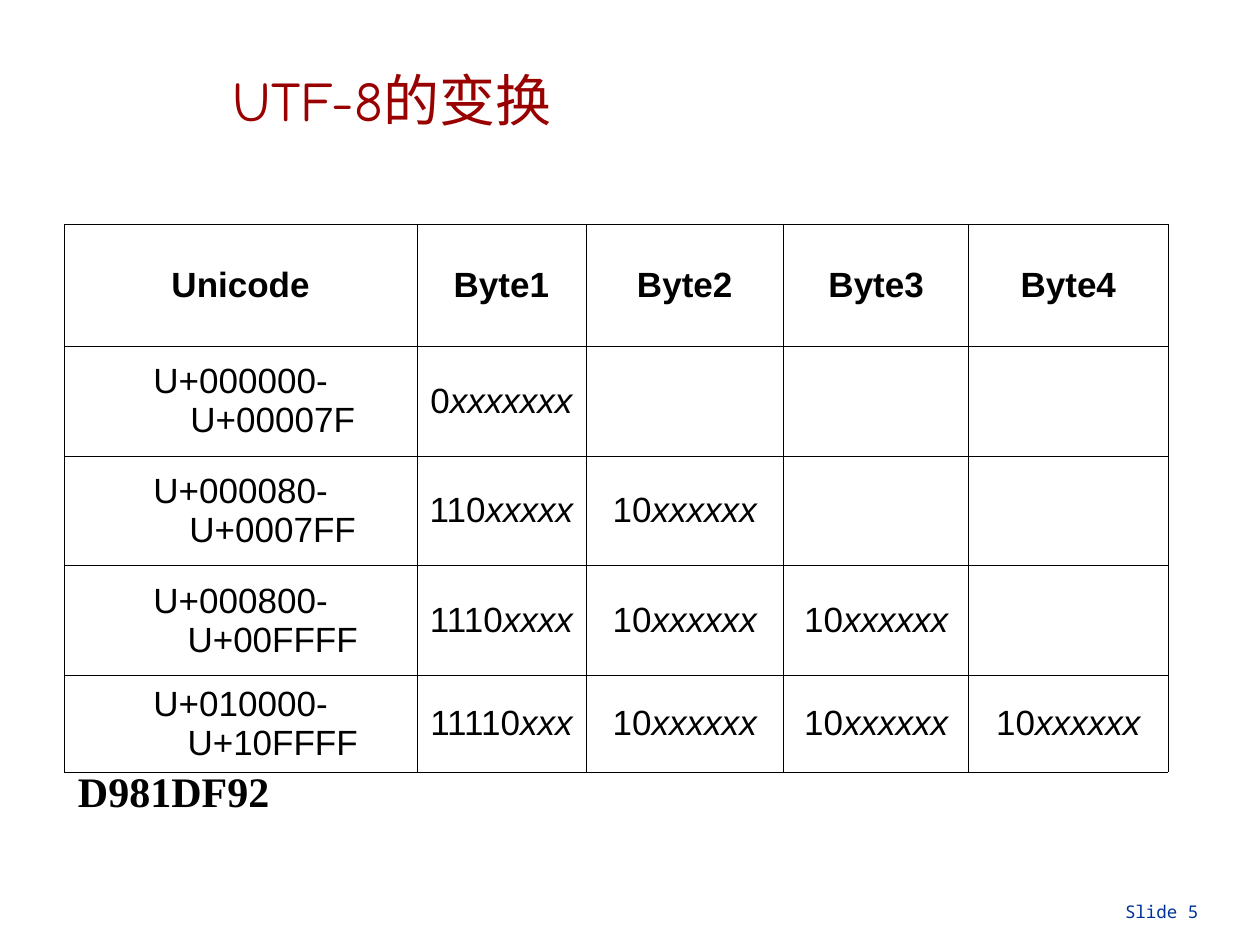
import pptx
import pptx.util
import pptx.dml.color
import pptx.enum.text
from lxml import etree
from pptx.oxml.ns import qn
from pptx.util import Inches

RGBColor = pptx.dml.color.RGBColor
BLACK = RGBColor(0x00, 0x00, 0x00)
DARK_RED = RGBColor(0x99, 0x00, 0x00)
NAVY = RGBColor(0x00, 0x33, 0x99)
CENTER = pptx.enum.text.PP_ALIGN.CENTER
MIDDLE = pptx.enum.text.MSO_ANCHOR.MIDDLE

BYTE_BITS = 8
CONTINUATION = "10"
COLUMN_WIDTHS = [2.8, 1.34, 1.57, 1.47, 1.58]
ROW_HEIGHTS = [0.97, 0.87, 0.87, 0.87, 0.44]
HEADINGS = ["Unicode", "Byte1", "Byte2", "Byte3", "Byte4"]
# Code point range and marker bits of the leading byte
ENCODINGS = [
    ("U+000000-U+00007F", "0"),
    ("U+000080-U+0007FF", "110"),
    ("U+000800-U+00FFFF", "1110"),
    ("U+010000-U+10FFFF", "11110"),
]


class SlideBuilder:
    """Holds the table style and the slide being built."""

    table_font = "Arial"
    table_size = 20
    border_width = 0.45
    hanging = 0.51

    def __init__(self, slide):
        self.slide = slide

    def set_font(self, paragraph, name, size, color, bold=False):
        font = paragraph.font
        font.name = name
        font.size = pptx.util.Pt(size)
        font.bold = bold
        font.color.rgb = color

    def text(self, words, box, insets, name, size, color, bold=False,
             align=None, line_spacing=None, wrap=True, right_tab=None):
        frame = self.slide.shapes.add_textbox(*map(Inches, box)).text_frame
        frame.word_wrap = wrap
        frame.margin_left = frame.margin_right = Inches(insets[0])
        frame.margin_top = frame.margin_bottom = Inches(insets[1])
        paragraph = frame.paragraphs[0]
        paragraph.text = words
        if align is not None:
            paragraph.alignment = align
        if line_spacing is not None:
            paragraph.line_spacing = line_spacing
        if right_tab is not None:
            tabs = etree.SubElement(paragraph._p.get_or_add_pPr(), qn("a:tabLst"))
            etree.SubElement(tabs, qn("a:tab"), pos=str(Inches(right_tab)), algn="r")
        self.set_font(paragraph, name, size, color, bold)

    def table(self, left, top, widths, heights):
        table = self.slide.shapes.add_table(
            len(heights), len(widths), Inches(left), Inches(top),
            Inches(sum(widths)), Inches(sum(heights))).table
        table.first_row = table.horz_banding = False
        for column, width in zip(table.columns, widths):
            column.width = Inches(width)
        for row, height in zip(table.rows, heights):
            row.height = Inches(height)
        for cell in table.iter_cells():
            self.borders(cell)
            cell.fill.background()
            cell.vertical_anchor = MIDDLE
        return table

    def borders(self, cell):
        properties = cell._tc.get_or_add_tcPr()
        for side in ("a:lnL", "a:lnR", "a:lnT", "a:lnB"):
            line = etree.SubElement(properties, qn(side),
                                    w=str(pptx.util.Pt(self.border_width)))
            fill = etree.SubElement(line, qn("a:solidFill"))
            etree.SubElement(fill, qn("a:srgbClr"), val=str(BLACK))

    def cell_text(self, cell, upright, slanted="", bold=False):
        paragraph = cell.text_frame.paragraphs[0]
        paragraph.alignment = CENTER
        properties = paragraph._p.get_or_add_pPr()
        properties.set("marL", str(Inches(self.hanging)))
        properties.set("indent", str(-Inches(self.hanging)))
        self.set_font(paragraph, self.table_font, self.table_size, BLACK, bold)
        paragraph.add_run().text = upright
        if slanted:
            free_bits = paragraph.add_run()
            free_bits.text = slanted
            free_bits.font.italic = True


def main():
    presentation = pptx.Presentation()
    presentation.slide_width = Inches(10)
    presentation.slide_height = Inches(7.5)
    builder = SlideBuilder(
        presentation.slides.add_slide(presentation.slide_layouts[6]))

    # Slide number
    builder.text("\tSlide 5", (6.42, 7.15, 3.58, 0.19), (0.09, 0),
                 "Noto Sans Mono", 10, NAVY, right_tab=3)

    # Title
    builder.text("UTF-8的变换", (0, 0.58, 6.22, 0.48), (0.05, 0),
                 "Comic Neue", 32, DARK_RED, align=CENTER, line_spacing=0.9)

    # Conversion table: each range takes one byte more than the one before
    conversion = builder.table(0.51, 1.78, COLUMN_WIDTHS, ROW_HEIGHTS)
    for column, heading in enumerate(HEADINGS):
        builder.cell_text(conversion.cell(0, column), heading, bold=True)
    for row, (code_points, lead) in enumerate(ENCODINGS, start=1):
        builder.cell_text(conversion.cell(row, 0), code_points)
        markers = [lead] + [CONTINUATION] * (row - 1)
        for column, marker in enumerate(markers, start=1):
            builder.cell_text(conversion.cell(row, column), marker,
                              "x" * (BYTE_BITS - len(marker)))

    # Example code below the table
    builder.text("D981DF92", (0.52, 6.03, 1.72, 0.5), (0.1, 0.05),
                 "Times New Roman", 24, BLACK, bold=True, wrap=False)

    presentation.save("out.pptx")


if __name__ == "__main__":
    main()
